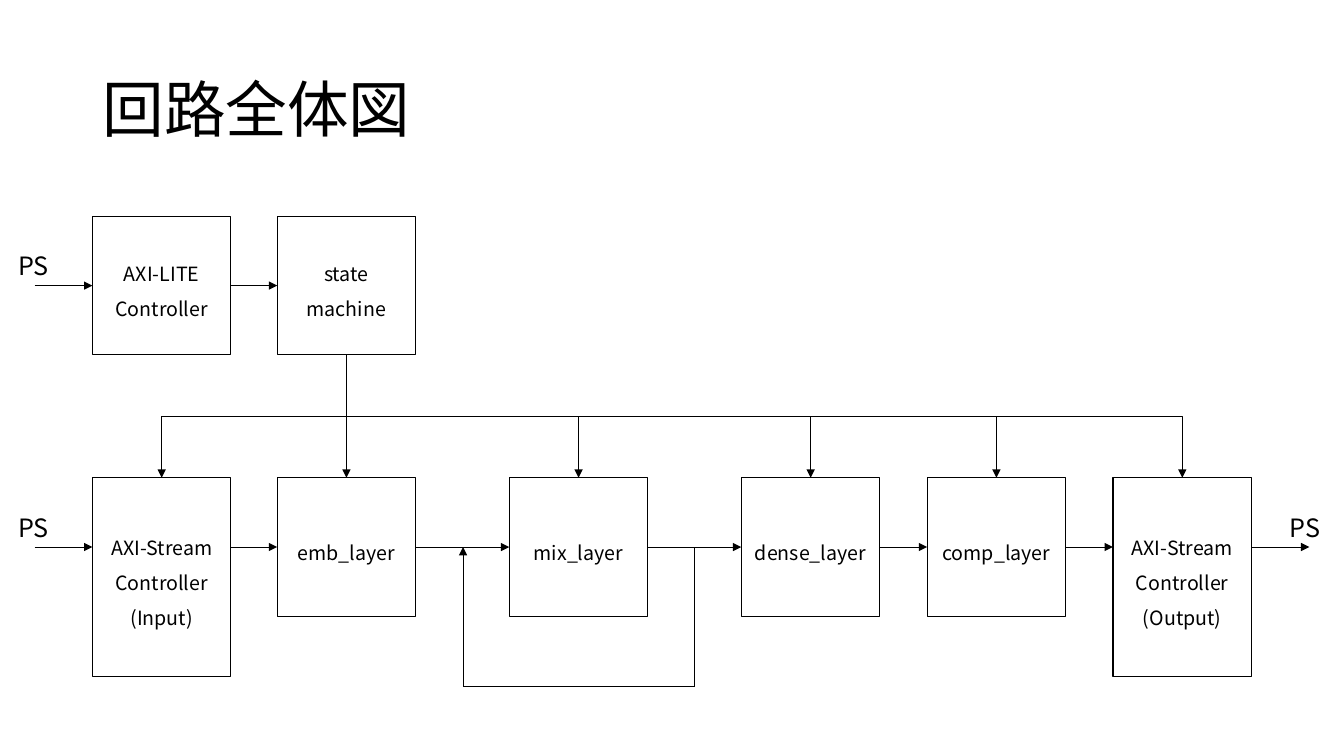
import pptx
import pptx.dml.color
import pptx.enum.shapes
import pptx.enum.text
import pptx.oxml
import pptx.oxml.ns
import pptx.util
from dataclasses import dataclass

PX = 9525  # EMU per px, 96 px to the inch
MSO = pptx.enum.shapes.MSO_SHAPE
CONN = pptx.enum.shapes.MSO_CONNECTOR
ALIGN = pptx.enum.text.PP_ALIGN
ANCHOR = pptx.enum.text.MSO_ANCHOR
AUTO = pptx.enum.text.MSO_AUTO_SIZE


@dataclass(frozen=True)
class Theme:
    font: str = "Noto Sans CJK JP"
    ink: str = "000000"
    title: int = 44
    label: int = 18
    block: int = 14
    spacing: int = 25
    border: float = 0.75
    wire: float = 0.5


def px(*values):
    return [pptx.util.Emu(int(v * PX)) for v in values]


def style(obj, formats):
    for name, value in formats.items():
        setattr(obj, name, value)


def sub(parent, tag, **attrs):
    el = pptx.oxml.parse_xml(f"<{tag} {pptx.oxml.ns.nsdecls('a')}/>")
    for name, value in attrs.items():
        el.set(name, value)
    parent.append(el)


class Diagram:
    def __init__(self, prs, theme):
        self.theme = theme
        self.slide = prs.slides.add_slide(prs.slide_layouts[5])
        self.shapes = self.slide.shapes
        self.ink = pptx.dml.color.RGBColor.from_string(theme.ink)

    def fill_text(self, tf, text, size, frame, para):
        style(tf, frame)
        for i, line in enumerate(text.split("\n")):
            p = tf.paragraphs[0] if i == 0 else tf.add_paragraph()
            style(p, para)
            r = p.add_run()
            r.text = line
            style(r.font, {"size": pptx.util.Pt(size), "name": self.theme.font})
            r.font.color.rgb = self.ink
            sub(r.font._element, "a:ea", typeface=self.theme.font)

    def title(self, text, x, y, w, h):
        sp = self.shapes.title
        style(sp, dict(zip(("left", "top", "width", "height"), px(x, y, w, h))))
        self.fill_text(sp.text_frame, text, self.theme.title,
                       {"vertical_anchor": ANCHOR.MIDDLE, "auto_size": AUTO.NONE},
                       {"alignment": ALIGN.LEFT, "line_spacing": 0.9})

    def block(self, text, x, y, w, h):
        sp = self.shapes.add_shape(MSO.RECTANGLE, *px(x, y, w, h))
        sp.shadow.inherit = False
        sp.fill.background()
        sp.line.color.rgb = self.ink
        sp.line.width = pptx.util.Pt(self.theme.border)
        self.fill_text(sp.text_frame, text, self.theme.block,
                       {"vertical_anchor": ANCHOR.MIDDLE, "word_wrap": True},
                       {"alignment": ALIGN.CENTER,
                        "line_spacing": pptx.util.Pt(self.theme.spacing)})

    def label(self, text, x, y, w, h):
        sp = self.shapes.add_textbox(*px(x, y, w, h))
        self.fill_text(sp.text_frame, text, self.theme.label,
                       {"word_wrap": False, "auto_size": AUTO.SHAPE_TO_FIT_TEXT}, {})

    def wire(self, x1, y1, x2, y2, arrow=True, kind=CONN.STRAIGHT):
        c = self.shapes.add_connector(kind, *px(x1, y1, x2, y2))
        c.line.color.rgb = self.ink
        c.line.width = pptx.util.Pt(self.theme.wire)
        if arrow:
            ln = c._element.spPr.find(pptx.oxml.ns.qn("a:ln"))
            sub(ln, "a:tailEnd", type="triangle")
        sub(c._element.spPr, "a:effectLst")
        return c

    def drop(self, x1, y1, x2, y2):
        """Elbow that leaves downwards, runs sideways, and enters downwards."""
        if x1 == x2:
            return self.wire(x1, y1, x2, y2)
        mid_x, mid_y = (x1 + x2) / 2, (y1 + y2) / 2
        run, fall = abs(x2 - x1), y2 - y1
        c = self.wire(mid_x - fall / 2, mid_y - run / 2,
                      mid_x + fall / 2, mid_y + run / 2, kind=CONN.ELBOW)
        xfrm = c._element.spPr.find(pptx.oxml.ns.qn("a:xfrm"))
        xfrm.set("rot", str((90 if x2 < x1 else 270) * 60000))
        if x2 > x1:
            xfrm.set("flipH", "1")
        return c


def main():
    prs = pptx.Presentation()
    prs.slide_width, prs.slide_height = px(1280, 720)
    d = Diagram(prs, Theme())
    d.title("回路全体図", 88, 38, 1104, 139)

    # Grid
    side, tall = 132, 189
    control_y, data_y = 206, 455
    control_mid, data_mid = control_y + side // 2, data_y + side // 2
    lead = 55  # length of the wires to and from PS

    # Data path: text, height, gap before the block
    stages = [
        ("AXI-Stream\nController\n(Input)", tall, 88),
        ("emb_layer", side, 44),
        ("mix_layer", side, 89),
        ("dense_layer", side, 89),
        ("comp_layer", side, 45),
        ("AXI-Stream\nController\n(Output)", tall, 45),
    ]
    lefts, right = [], 0
    for text, height, gap in stages:
        x = right + gap
        d.block(text, x, data_y, side, height)
        if lefts:
            d.wire(right, data_mid, x, data_mid)
        lefts.append(x)
        right = x + side

    # Control path
    lite_x, state_x = lefts[:2]
    d.block("AXI-LITE\nController", lite_x, control_y, side, side)
    d.block("state\nmachine", state_x, control_y, side, side)
    d.wire(lite_x + side, control_mid, state_x, control_mid)

    # State machine drives every stage
    for x in lefts:
        d.drop(state_x + side // 2, control_y + side, x + side // 2, data_y)

    # Feedback loop around mix_layer
    mix_x, loop_y = lefts[2], 654
    back_x, out_x = mix_x - 44, mix_x + side + 44
    d.wire(out_x, loop_y, out_x, data_mid, arrow=False)
    d.wire(back_x, loop_y, out_x, loop_y, arrow=False)
    d.wire(back_x, loop_y, back_x, data_mid)

    # Links to PS
    for start, y, label_x in ((lite_x - lead, control_mid, 8),
                              (lite_x - lead, data_mid, 8),
                              (right, data_mid, 1219)):
        d.wire(start, y, start + lead, y)
        d.label("PS", label_x, y - 38, 51, 38)

    prs.save("out.pptx")


if __name__ == "__main__":
    main()
